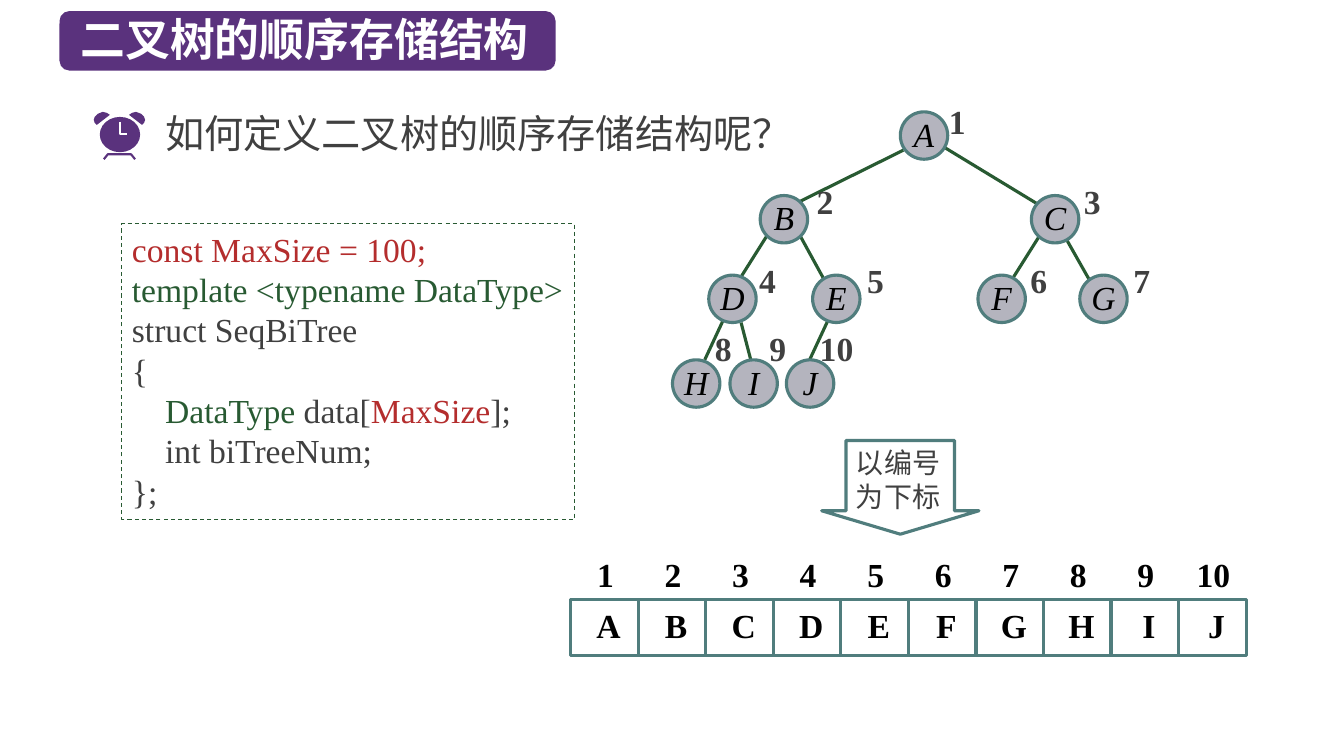
from lxml.etree import SubElement
from pptx import Presentation
from pptx.dml.color import RGBColor
from pptx.enum.dml import MSO_LINE
from pptx.enum.shapes import MSO_CONNECTOR, MSO_SHAPE as Preset
from pptx.enum.text import MSO_ANCHOR as Anchor, PP_ALIGN as Align
from pptx.oxml.ns import qn
from pptx.util import Inches, Pt

WHITE = RGBColor(0xFF, 0xFF, 0xFF)
BLACK = RGBColor(0x00, 0x00, 0x00)
GREY = RGBColor(0x40, 0x40, 0x40)
PURPLE = RGBColor(0x5A, 0x32, 0x7D)
GREEN = RGBColor(0x28, 0x5A, 0x32)
RED = RGBColor(0xB4, 0x2D, 0x2D)
TEAL = RGBColor(0x50, 0x7D, 0x7D)
NODE_FILL = RGBColor(0xB4, 0xB4, 0xBE)

CJK = "Noto Sans CJK SC"
SERIF = "Times New Roman"
STROKE = 2.25
PADDING = (0.1, 0.05, 0.1, 0.05)


class SlideBuilder:
    """Holds the current slide and draws its kinds of element."""

    def __init__(self, slide):
        self.slide = slide
        self.shapes = slide.shapes

    def paint(self, shape, fill=None, line=None, width=STROKE):
        shape.shadow.inherit = False
        if fill is None:
            shape.fill.background()
        else:
            shape.fill.solid()
            shape.fill.fore_color.rgb = fill
        if line is None:
            shape.line.fill.background()
        else:
            shape.line.color.rgb = line
            shape.line.width = Pt(width)
        return shape

    def shape(self, preset, box, fill=None, line=None, width=STROKE):
        drawn = self.shapes.add_shape(preset, *map(Inches, box))
        return self.paint(drawn, fill, line, width)

    def outline(self, points, fill=None, line=None, width=STROKE, close=True):
        start, *rest = [(Inches(x), Inches(y)) for x, y in points]
        builder = self.shapes.build_freeform(*start)
        builder.add_line_segments(rest, close=close)
        return self.paint(builder.convert_to_shape(), fill, line, width)

    def edge(self, x1, y1, x2, y2):
        edge = self.shapes.add_connector(
            MSO_CONNECTOR.STRAIGHT, *map(Inches, (x1, y1, x2, y2)))
        edge.line.color.rgb = GREEN
        edge.line.width = Pt(STROKE)
        SubElement(edge._element.spPr, qn("a:effectLst"))

    def set_text(self, shape, lines, size, color, font=SERIF, bold=False,
                 italic=False, align=Align.LEFT, anchor=Anchor.TOP,
                 padding=PADDING, spacing=None):
        """Each line is a string or a list of (text, colour) pieces."""
        frame = shape.text_frame
        frame.word_wrap = True
        frame.vertical_anchor = anchor
        (frame.margin_left, frame.margin_top,
         frame.margin_right, frame.margin_bottom) = map(Inches, padding)
        for number, line in enumerate(lines):
            paragraph = frame.add_paragraph() if number else frame.paragraphs[0]
            paragraph.alignment = align
            if spacing:
                paragraph.line_spacing = Pt(spacing)
            style = paragraph.font
            style.name, style.size = font, Pt(size)
            style.bold, style.italic = bold, italic
            style.color.rgb = color
            SubElement(style._rPr, qn("a:ea")).set("typeface", font)
            if isinstance(line, str):
                paragraph.add_run().text = line
                continue
            for text, piece_color in line:
                run = paragraph.add_run()
                run.text = text
                run.font.color.rgb = piece_color
        return frame

    def text(self, box, lines, size, color, **style):
        label = self.shapes.add_textbox(*map(Inches, box))
        return self.set_text(label, lines, size, color, **style)


# Tree: letter, left and top of node, left and top of its number
NODES = [
    ("A", 8.93, 1.11, 9.41, 0.98),
    ("B", 7.54, 1.94, 8.1, 1.77),
    ("C", 10.23, 1.94, 10.75, 1.77),
    ("D", 7.03, 2.73, 7.53, 2.56),
    ("E", 8.06, 2.73, 8.6, 2.56),
    ("F", 9.7, 2.73, 10.22, 2.56),
    ("G", 10.71, 2.73, 11.24, 2.56),
    ("H", 6.67, 3.57, 7.09, 3.23),
    ("I", 7.24, 3.57, 7.63, 3.23),
    ("J", 7.8, 3.57, 8.13, 3.23),
]
EDGES = [
    (8.96, 1.49, 7.87, 2.03), (9.33, 1.44, 10.35, 2.06),
    (7.65, 2.27, 7.31, 2.81), (7.92, 2.31, 8.21, 2.84),
    (10.31, 2.34, 9.97, 2.88), (10.58, 2.38, 10.88, 2.91),
    (7.19, 3.14, 6.99, 3.57), (7.35, 3.2, 7.47, 3.66),
    (8.23, 3.14, 8.03, 3.57),
]
CODE = [
    [("const MaxSize = 100;", RED)],
    [("template <typename DataType>", GREEN)],
    "struct SeqBiTree",
    "{",
    [("DataType", GREEN), (" data[", GREY), ("MaxSize", RED), ("];", GREY)],
    "int biTreeNum;",
    "};",
]
CODE_BODY = slice(4, 6)
BELL = [(1.09, 1.14), (1.06, 1.12), (1.02, 1.11), (0.97, 1.13), (0.94, 1.16),
        (0.93, 1.19), (0.94, 1.22), (0.96, 1.24)]
CLOCK_WIDTH_SUM = 2.37  # left edge plus right edge, for mirroring


def draw_tree(page):
    for ends in EDGES:
        page.edge(*ends)
    for number, (letter, x, y, label_x, label_y) in enumerate(NODES, 1):
        node = page.shape(Preset.OVAL, (x, y, 0.47, 0.47), NODE_FILL, TEAL)
        page.set_text(node, [letter], 24, BLACK, italic=True,
                      align=Align.CENTER, padding=(0, 0, 0, 0), spacing=25)
        page.text((label_x, label_y, 0.42, 0.39), [str(number)], 24, GREY,
                  bold=True, padding=(0, 0.02, 0, 0))


def draw_array(page):
    left, pitch = 5.66, 0.67
    for index, (letter, *_) in enumerate(NODES):
        x = left + index * pitch
        page.text((x, 5.45, 0.67, 0.5), [str(index + 1)], 24, BLACK, bold=True,
                  align=Align.CENTER, padding=(0.02, 0.05, 0, 0.05))
        cell = page.shape(Preset.RECTANGLE, (x, 5.95, 0.67, 0.55), line=TEAL)
        page.set_text(cell, [letter], 24, BLACK, bold=True,
                      align=Align.CENTER, padding=(0.18, 0.05, 0.1, 0.05))


def draw_clock(page):
    mirrored = [(CLOCK_WIDTH_SUM - x, y) for x, y in BELL]
    for bell in (BELL, mirrored):
        page.outline(bell, fill=PURPLE)
    page.shape(Preset.OVAL, (0.99, 1.16, 0.4, 0.35), PURPLE)
    page.outline([(1.19, 1.21), (1.19, 1.33), (1.26, 1.33)],
                 line=WHITE, width=2, close=False)
    page.outline([(1.03, 1.58), (1.07, 1.53), (1.3, 1.53), (1.34, 1.58)],
                 line=PURPLE, width=1.5, close=False)


def main():
    deck = Presentation()
    deck.slide_width, deck.slide_height = Inches(13.33), Inches(7.5)
    page = SlideBuilder(deck.slides.add_slide(deck.slide_layouts[6]))

    # Title
    page.shape(Preset.ROUNDED_RECTANGLE, (0.59, 0.11, 4.92, 0.59), PURPLE)
    page.text((0.7, 0.07, 4.74, 0.64), ["二叉树的顺序存储结构"], 32, WHITE,
              font=CJK, bold=True)

    draw_tree(page)

    # Arrow from the tree to the array
    arrow = page.shape(Preset.DOWN_ARROW, (8.15, 4.37, 1.56, 0.93), line=TEAL)
    arrow.adjustments[0], arrow.adjustments[1] = 0.69, 0.25
    page.set_text(arrow, ["以编号", "为下标"], 20, GREY, font=CJK,
                  anchor=Anchor.MIDDLE)

    draw_array(page)

    # Code
    code = page.shape(Preset.RECTANGLE, (1.21, 2.22, 4.49, 2.93),
                      line=GREEN, width=0.75)
    code.line.dash_style = MSO_LINE.DASH
    listing = page.set_text(code, CODE, 24, GREY)
    for paragraph in listing.paragraphs[CODE_BODY]:
        paragraph._p.get_or_add_pPr().set("marL", str(Inches(0.33)))

    # Question
    page.text((1.54, 1.04, 6.46, 0.57), ["如何定义二叉树的顺序存储结构呢？"],
              28, GREY, font=CJK)
    draw_clock(page)

    deck.save("out.pptx")


if __name__ == "__main__":
    main()
